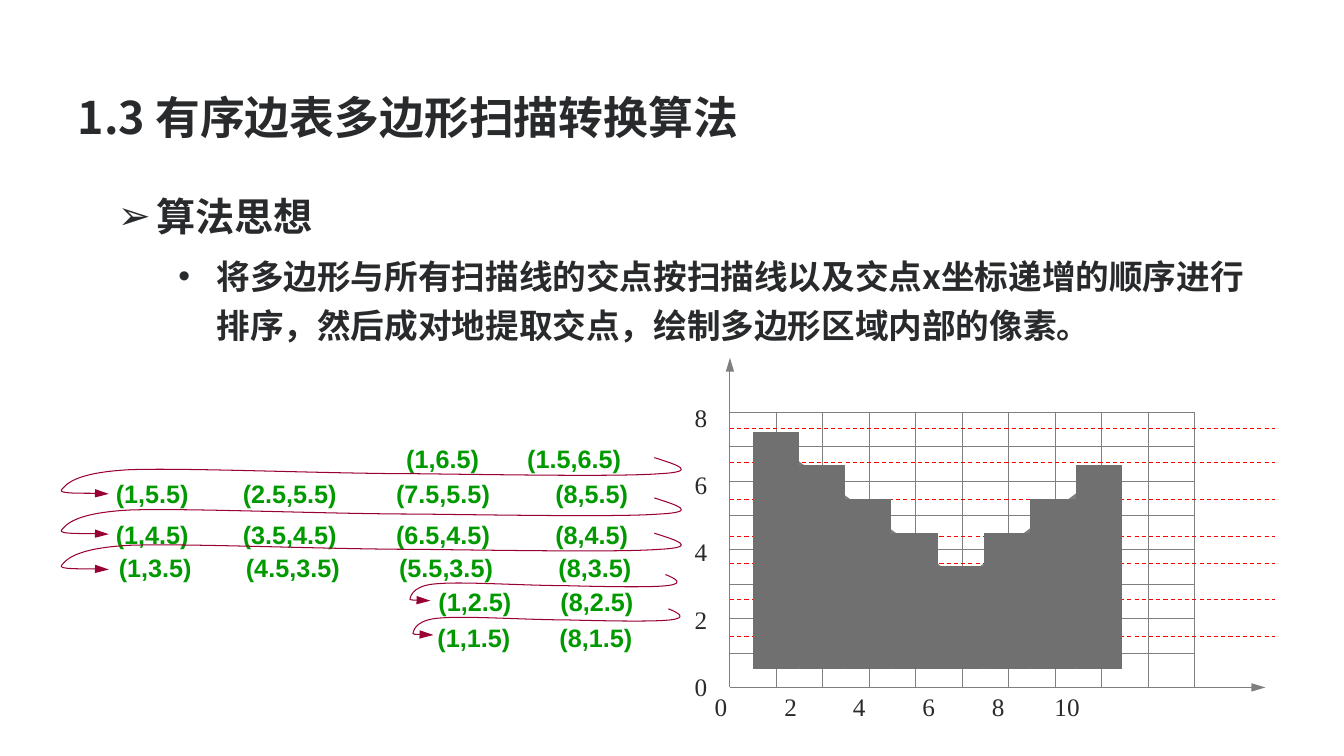
from lxml.etree import SubElement
from pptx import Presentation
from pptx.dml.color import RGBColor
from pptx.enum.dml import MSO_LINE
from pptx.enum.shapes import MSO_CONNECTOR, MSO_SHAPE
from pptx.enum.text import MSO_ANCHOR, MSO_AUTO_SIZE, PP_ALIGN
from pptx.oxml.ns import qn
from pptx.util import Inches, Pt

TITLE = "1.3 有序边表多边形扫描转换算法"
# text, size, left margin, bullet, space before, line spacing
BODY = [
    ("算法思想", 28, 0.78, "➢", 0, 1.0),
    ("将多边形与所有扫描线的交点按扫描线以及交点x坐标递增的顺序进行排序，"
     "然后成对地提取交点，绘制多边形区域内部的像素。", 24, 1.38, "•", 6, 1.2),
]
HANGING = 0.38

CJK, SERIF, SANS = "Noto Sans CJK SC", "Times New Roman", "Arial"
INK, TICK, GREEN, WINE = "282A2C", "2A2A2A", "009900", "990033"
GREY, FILL, RED = "7F7F7F", "707070", "FF0000"

# Axes: origin, cell size and number of cells
ORIGIN_X, ORIGIN_Y = 7.24, 6.82
CELL_W, CELL_H, COLUMNS, ROWS = 0.461, 0.341, 10, 8
AXIS_RIGHT, AXIS_TOP, SCAN_RIGHT = 12.55, 3.55, 12.65
X_TICKS, X_TABS = ["0", "2", "4", "6", "8", "10"], [0.69, 1.37, 2.06, 2.75, 3.37]
Y_TICKS, Y_TICK_STEP = ["0", "2", "4", "6", "8"], 0.667
SCAN_LINES = [4.25, 4.59, 4.96, 5.32, 5.59, 5.95, 6.31]
POLYGON = [(7.69, 6.47), (7.69, 4.43), (9.53, 5.79), (10.91, 4.74), (10.91, 6.47)]

# Filled pixels: first filled row of each column, all reaching the last row
PIXEL_TOPS = [0, 1, 2, 3, 4, 3, 2, 1]
PIXEL_ROWS, PIXEL_X, PIXEL_Y = 7, 7.47, 4.29
PIXEL_STEP_X, PIXEL_STEP_Y, PIXEL_SIZE = 0.458, 0.333, (0.45, 0.34)

# Top of the row, then (left, text) of each intersection
INTERSECTIONS = [
    (4.35, [(3.93, "(1,6.5)"), (5.13, "(1.5,6.5)")]),
    (4.70, [(1.05, "(1,5.5)"), (2.31, "(2.5,5.5)"), (3.83, "(7.5,5.5)"), (5.41, "(8,5.5)")]),
    (5.10, [(1.05, "(1,4.5)"), (2.31, "(3.5,4.5)"), (3.83, "(6.5,4.5)"), (5.41, "(8,4.5)")]),
    (5.43, [(1.08, "(1,3.5)"), (2.34, "(4.5,3.5)"), (3.86, "(5.5,3.5)"), (5.44, "(8,3.5)")]),
    (5.77, [(4.25, "(1,2.5)"), (5.46, "(8,2.5)")]),
    (6.12, [(4.24, "(1,1.5)"), (5.45, "(8,1.5)")]),
]
# Label widths by number of intersections in the row
LABEL_WIDTHS = {2: (1.21, 1.52), 4: (1.52, 1.52, 1.52, 1.16)}

# Return arrows as cubic curves: start, then three points per segment
WIDE_RETURN = [
    (6.49, 0), (6.71, 0.07), (6.94, 0.14), (6.54, 0.16),
    (6.15, 0.19), (5, 0.17), (4.13, 0.16), (3.25, 0.16), (1.88, 0.1), (1.29, 0.12),
    (0.71, 0.15), (0.65, 0.28), (0.61, 0.32), (0.58, 0.36), (1, 0.35), (1.08, 0.36),
]
NARROW_RETURN = [
    (6.6, 0), (6.7, 0.04), (6.79, 0.09), (6.62, 0.11),
    (6.45, 0.13), (5.96, 0.12), (5.58, 0.11), (5.21, 0.11), (4.61, 0.07), (4.36, 0.09),
    (4.11, 0.1), (4.08, 0.2), (4.07, 0.23), (4.05, 0.26), (4.24, 0.26), (4.27, 0.26),
]
RETURNS = [(WIDE_RETURN, 0, 4.54), (WIDE_RETURN, 0, 4.94), (WIDE_RETURN, 0, 5.29),
           (NARROW_RETURN, 0, 5.7), (NARROW_RETURN, 0.03, 6.04)]

deck = Presentation()
deck.slide_width, deck.slide_height = Inches(13.33), Inches(7.5)
slide = deck.slides.add_slide(deck.slide_layouts[5])
shapes = slide.shapes


def color(value):
    return RGBColor.from_string(value)


def write(para, text, *, size, font, ink, bold=False):
    span = para.add_run()
    span.text = text
    span.font.size, span.font.name, span.font.bold = Pt(size), font, bold
    span.font.color.rgb = color(ink)
    SubElement(span.font._element, qn("a:ea")).set("typeface", font)


def add_label(left, top, width, text, **style):
    box = shapes.add_textbox(Inches(left), Inches(top), Inches(width), Inches(0.4))
    box.text_frame.word_wrap = True
    para = box.text_frame.paragraphs[0]
    write(para, text, size=18, **style)
    return para


def style_line(item, ink, *, width=0.75, arrow=False, dashed=False):
    item.line.color.rgb = color(ink)
    item.line.width = Pt(width)
    if dashed:
        item.line.dash_style = MSO_LINE.DASH
    properties = item.element.spPr
    if arrow:
        head = SubElement(properties.find(qn("a:ln")), qn("a:tailEnd"))
        head.set("type", "triangle")
        head.set("len", "lg")
    if properties.find(qn("a:effectLst")) is None:
        SubElement(properties, qn("a:effectLst"))


def add_line(x1, y1, x2, y2, ink=GREY, **style):
    line = shapes.add_connector(MSO_CONNECTOR.STRAIGHT, Inches(x1), Inches(y1), Inches(x2), Inches(y2))
    style_line(line, ink, **style)


def add_outline(points, close):
    corners = [(Inches(x), Inches(y)) for x, y in points]
    builder = shapes.build_freeform(*corners[0], scale=1.0)
    builder.add_line_segments(corners[1:], close=close)
    return builder.convert_to_shape()


def bend(outline):
    """Turn each three straight segments of an outline into one cubic curve."""
    segments = list(outline.element.iter(qn("a:lnTo")))
    trail = segments[0].getparent()
    for start in range(0, len(segments), 3):
        cubic = SubElement(trail, qn("a:cubicBezTo"))
        for segment in segments[start:start + 3]:
            cubic.append(segment[0])
            trail.remove(segment)


def set_frame(frame):
    frame.word_wrap, frame.auto_size, frame.vertical_anchor = True, MSO_AUTO_SIZE.NONE, MSO_ANCHOR.TOP
    frame.margin_left = frame.margin_right = frame.margin_top = frame.margin_bottom = Inches(0.1)


# Title and body text
title = shapes.title
title.left, title.top, title.width, title.height = (Inches(v) for v in (0.67, 0.79, 11.83, 0.85))
set_frame(title.text_frame)
heading = title.text_frame.paragraphs[0]
heading.alignment = PP_ALIGN.LEFT
write(heading, TITLE, size=32, font=CJK, ink=INK, bold=True)

body = shapes.add_textbox(Inches(0.67), Inches(1.81), Inches(11.83), Inches(1.75))
set_frame(body.text_frame)
for index, (text, size, margin, bullet, before, spacing) in enumerate(BODY):
    para = body.text_frame.add_paragraph() if index else body.text_frame.paragraphs[0]
    para.space_before, para.line_spacing = Pt(before), spacing
    properties = para._p.get_or_add_pPr()
    properties.set("marL", str(Inches(margin)))
    properties.set("indent", str(-Inches(HANGING)))
    SubElement(properties, qn("a:buFont")).set("typeface", SANS)
    SubElement(properties, qn("a:buChar")).set("char", bullet)
    write(para, text, size=size, font=CJK, ink=INK, bold=True)

# Polygon, grid, axes and tick labels
x_axis = add_label(6.99, 6.81, 5.5, "\t".join(X_TICKS), font=SERIF, ink=TICK)
tab_list = SubElement(x_axis._p.get_or_add_pPr(), qn("a:tabLst"))
for position in X_TABS:
    tab = SubElement(tab_list, qn("a:tab"))
    tab.set("pos", str(Inches(position)))
    tab.set("algn", "l")

polygon = add_outline(POLYGON, close=True)
polygon.fill.solid()
polygon.fill.fore_color.rgb = color(FILL)
style_line(polygon, GREY, width=3)

grid_right, grid_top = ORIGIN_X + COLUMNS * CELL_W, ORIGIN_Y - ROWS * CELL_H
for row in range(1, ROWS + 1):
    y = ORIGIN_Y - row * CELL_H
    add_line(ORIGIN_X, y, grid_right, y)
for column in range(1, COLUMNS + 1):
    x = ORIGIN_X + column * CELL_W
    add_line(x, ORIGIN_Y, x, grid_top)
add_line(ORIGIN_X, ORIGIN_Y, AXIS_RIGHT, ORIGIN_Y, arrow=True)
add_line(ORIGIN_X, ORIGIN_Y, ORIGIN_X, AXIS_TOP, arrow=True)
for number, tick in enumerate(Y_TICKS):
    add_label(6.79, 6.61 - number * Y_TICK_STEP, 0.74, tick, font=SERIF, ink=TICK)
for y in SCAN_LINES:
    add_line(ORIGIN_X, y, SCAN_RIGHT, y, RED, dashed=True)

# Sorted intersections and the arrows between their rows
for top, entries in INTERSECTIONS:
    for (left, text), width in zip(entries, LABEL_WIDTHS[len(entries)]):
        add_label(left, top, width, text, font=SANS, ink=GREEN, bold=True)
for controls, shift, top in RETURNS:
    arrow = add_outline([(x + shift, y + top) for x, y in controls], close=False)
    bend(arrow)
    arrow.fill.background()
    style_line(arrow, WINE, arrow=True)

# Filled pixels
for column, first_row in enumerate(PIXEL_TOPS):
    for row in range(first_row, PIXEL_ROWS):
        pixel = shapes.add_shape(
            MSO_SHAPE.RECTANGLE, Inches(PIXEL_X + column * PIXEL_STEP_X),
            Inches(PIXEL_Y + row * PIXEL_STEP_Y), *map(Inches, PIXEL_SIZE))
        pixel.fill.solid()
        pixel.fill.fore_color.rgb = color(FILL)
        style_line(pixel, FILL)

deck.save("out.pptx")
